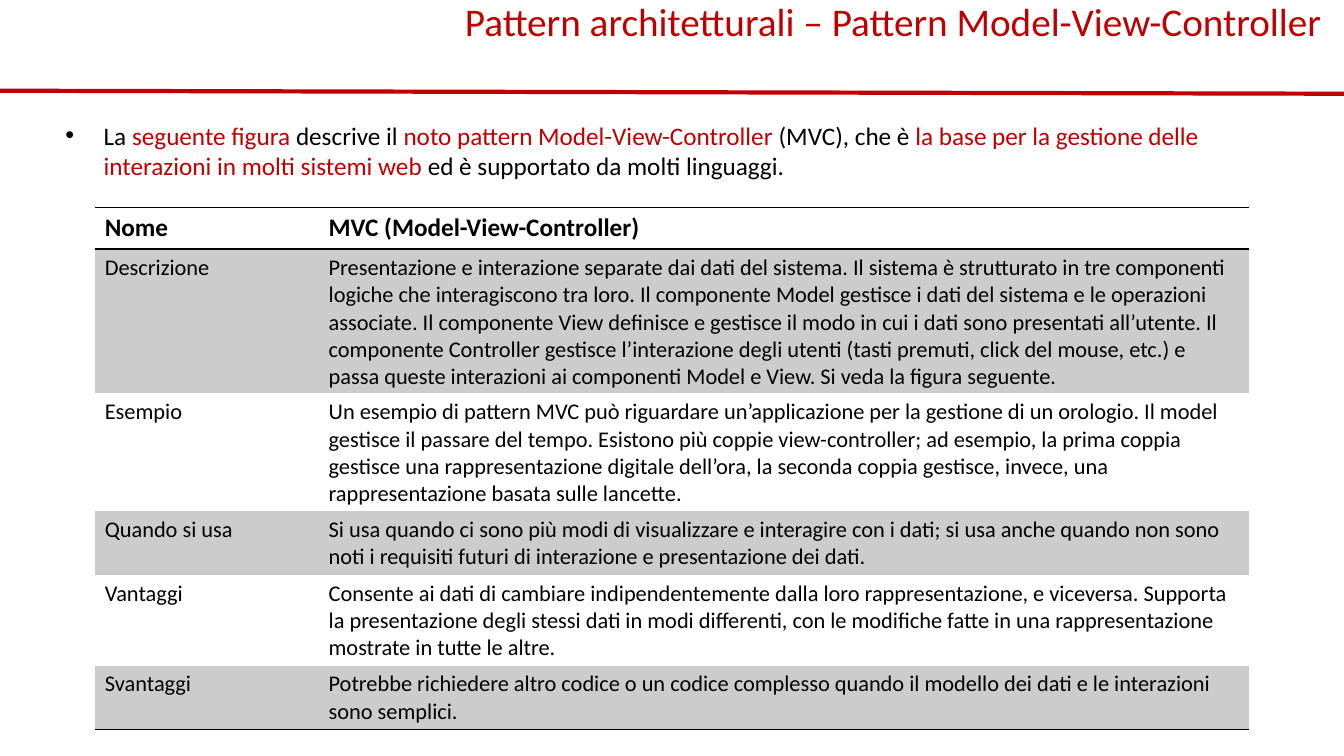
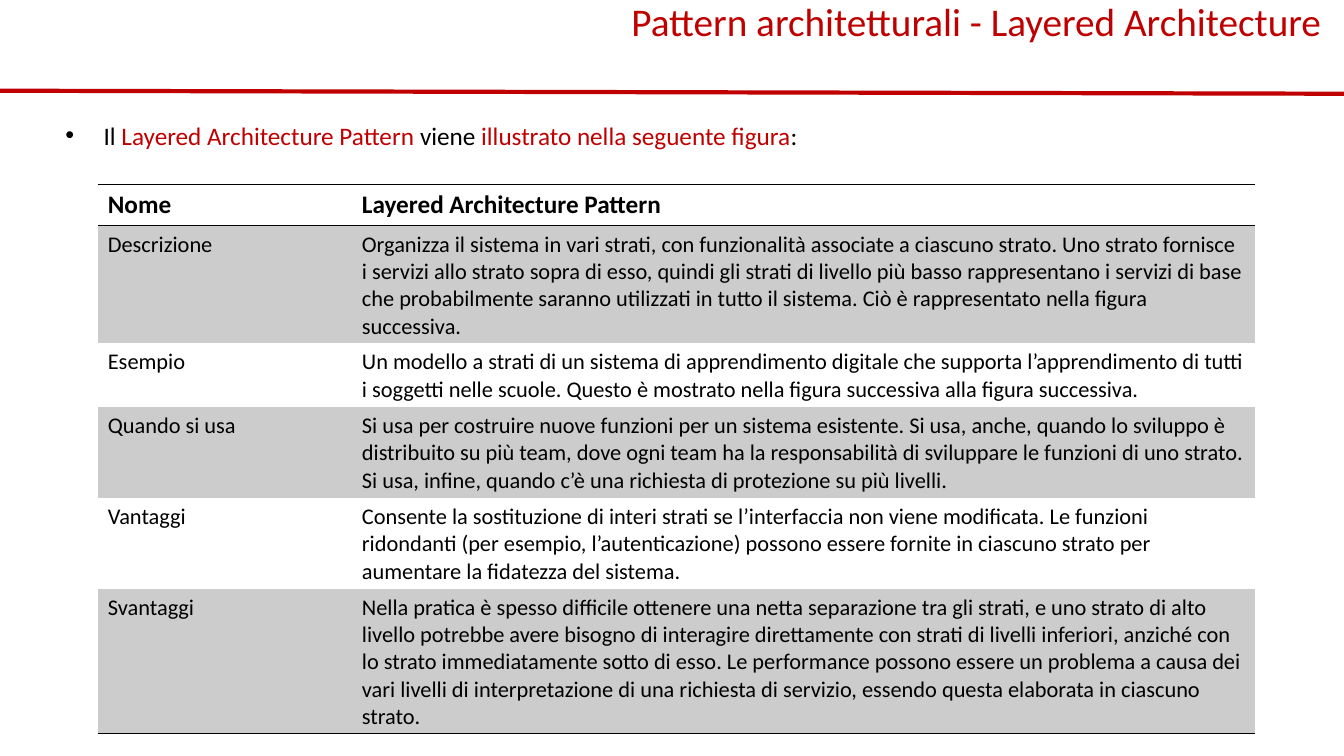
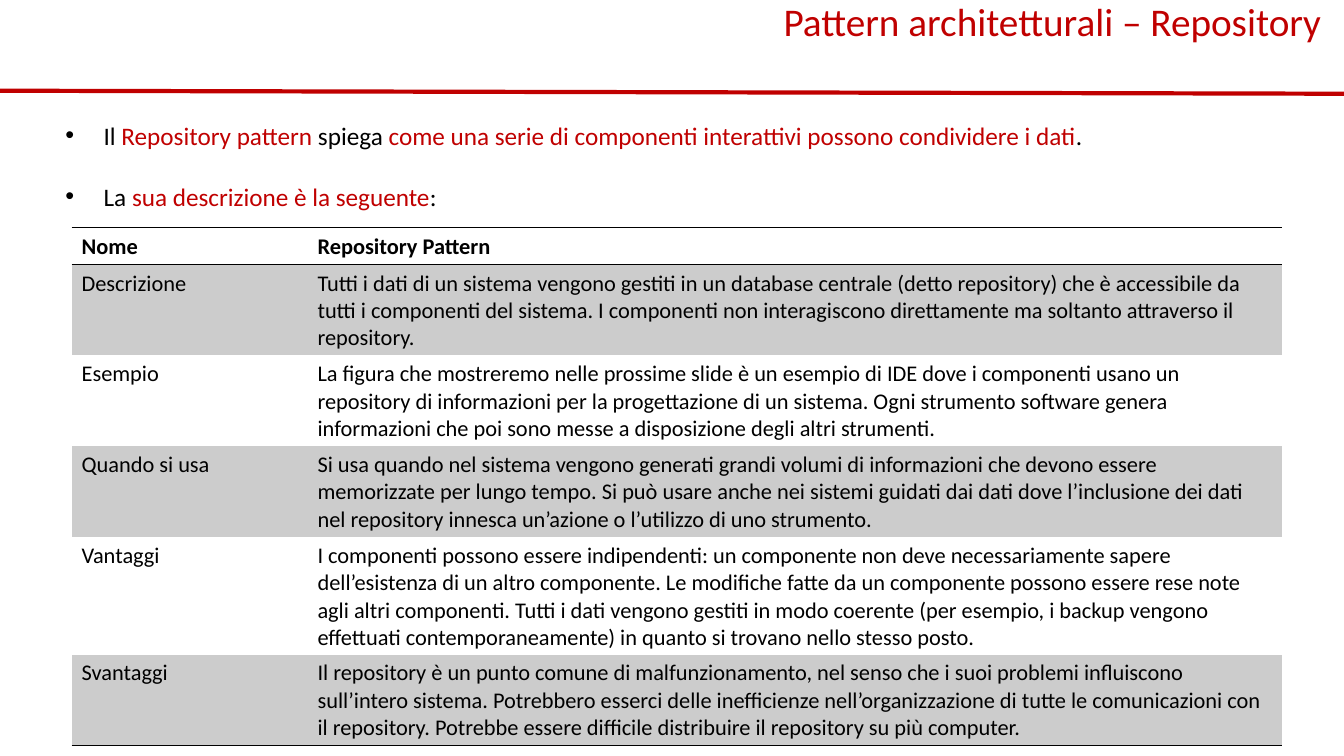
from dataclasses import dataclass

from lxml import etree
from pptx import Presentation
from pptx import util as u
from pptx.dml.color import RGBColor
from pptx.enum import shapes, text
from pptx.oxml.ns import qn
from pptx.slide import Slide
from pptx.table import _Cell as Cell

# Shared look
RED = RGBColor(0xC0, 0x00, 0x00)
BLACK = RGBColor(0x00, 0x00, 0x00)
GREY = RGBColor(0xCC, 0xCC, 0xCC)
FONT = "Calibri"
PLAIN_TABLE_STYLE = "{2D5ABB26-0587-4C30-8999-92F81FD0307C}"

PAGE_WIDTH = 13.33
TITLE_RIGHT = 13.2
BULLET_INDENT = u.Inches(0.38)
ROW_HEIGHT = 0.41
ROW_NAMES = ["Nome", "Descrizione", "Esempio", "Quando si usa", "Vantaggi", "Svantaggi"]


@dataclass
class PatternTable:
    left: float
    top: float
    height: float
    columns: tuple[float, float]
    entries: list[str]  # one for each of ROW_NAMES
    header_size: int = 18
    header_height: float = ROW_HEIGHT


@dataclass
class PatternPage:
    title: str
    title_width: float
    bullets: list[str]  # text between asterisks is red
    bullets_height: float
    table: PatternTable


PAGES = [
    PatternPage(
        "Pattern architetturali – Pattern Model-View-Controller", 8.82,
        ["La *seguente figura *descrive il *noto pattern Model-View-Controller *(MVC), che è "
         "*la base per la gestione delle interazioni in molti sistemi web* ed è supportato da "
         "molti linguaggi."],
        0.71,
        PatternTable(0.94, 2.06, 5.17, (2.22, 9.23), [
            "MVC (Model-View-Controller)",
            "Presentazione e interazione separate dai dati del sistema. Il sistema è strutturato "
            "in tre componenti logiche che interagiscono tra loro. Il componente Model gestisce i "
            "dati del sistema e le operazioni associate. Il componente View definisce e gestisce "
            "il modo in cui i dati sono presentati all’utente. Il componente Controller gestisce "
            "l’interazione degli utenti (tasti premuti, click del mouse, etc.) e passa queste "
            "interazioni ai componenti Model e View. Si veda la figura seguente.",
            "Un esempio di pattern MVC può riguardare un’applicazione per la gestione di un "
            "orologio. Il model gestisce il passare del tempo. Esistono più coppie "
            "view-controller; ad esempio, la prima coppia gestisce una rappresentazione digitale "
            "dell’ora, la seconda coppia gestisce, invece, una rappresentazione basata sulle "
            "lancette.",
            "Si usa quando ci sono più modi di visualizzare e interagire con i dati; si usa anche "
            "quando non sono noti i requisiti futuri di interazione e presentazione dei dati.",
            "Consente ai dati di cambiare indipendentemente dalla loro rappresentazione, e "
            "viceversa. Supporta la presentazione degli stessi dati in modi differenti, con le "
            "modifiche fatte in una rappresentazione mostrate in tutte le altre.",
            "Potrebbe richiedere altro codice o un codice complesso quando il modello dei dati e "
            "le interazioni sono semplici.",
        ]),
    ),
    PatternPage(
        "Pattern architetturali - Layered Architecture", 7.13,
        ["Il *Layered Architecture Pattern *viene *illustrato nella seguente figura*:"],
        0.4,
        PatternTable(0.97, 1.83, 5.44, (2.52, 8.96), [
            "Layered Architecture Pattern",
            "Organizza il sistema in vari strati, con funzionalità associate a ciascuno strato. "
            "Uno strato fornisce i servizi allo strato sopra di esso, quindi gli strati di livello "
            "più basso rappresentano i servizi di base che probabilmente saranno utilizzati in "
            "tutto il sistema. Ciò è rappresentato nella figura successiva.",
            "Un modello a strati di un sistema di apprendimento digitale che supporta "
            "l’apprendimento di tutti i soggetti nelle scuole. Questo è mostrato nella figura "
            "successiva alla figura successiva.",
            "Si usa per costruire nuove funzioni per un sistema esistente. Si usa, anche, quando "
            "lo sviluppo è distribuito su più team, dove ogni team ha la responsabilità di "
            "sviluppare le funzioni di uno strato. Si usa, infine, quando c’è una richiesta di "
            "protezione su più livelli.",
            "Consente la sostituzione di interi strati se l’interfaccia non viene modificata. Le "
            "funzioni ridondanti (per esempio, l’autenticazione) possono essere fornite in "
            "ciascuno strato per aumentare la fidatezza del sistema.",
            "Nella pratica è spesso difficile ottenere una netta separazione tra gli strati, e "
            "uno strato di alto livello potrebbe avere bisogno di interagire direttamente con "
            "strati di livelli inferiori, anziché con lo strato immediatamente sotto di esso. Le "
            "performance possono essere un problema a causa dei vari livelli di interpretazione "
            "di una richiesta di servizio, essendo questa elaborata in ciascuno strato.",
        ]),
    ),
    PatternPage(
        "Pattern architetturali – Repository", 5.61,
        ["Il *Repository pattern *spiega *come una serie di componenti interattivi possono "
         "condividere i dati*.",
         "La *sua descrizione è la seguente*:"],
        1.01,
        PatternTable(0.71, 2.26, 5.13, (2.34, 9.67), [
            "Repository Pattern",
            "Tutti i dati di un sistema vengono gestiti in un database centrale (detto "
            "repository) che è accessibile da tutti i componenti del sistema. I componenti non "
            "interagiscono direttamente ma soltanto attraverso il repository.",
            "La figura che mostreremo nelle prossime slide è un esempio di IDE dove i componenti "
            "usano un repository di informazioni per la progettazione di un sistema. Ogni "
            "strumento software genera informazioni che poi sono messe a disposizione degli altri "
            "strumenti.",
            "Si usa quando nel sistema vengono generati grandi volumi di informazioni che devono "
            "essere memorizzate per lungo tempo. Si può usare anche nei sistemi guidati dai dati "
            "dove l’inclusione dei dati nel repository innesca un’azione o l’utilizzo di uno "
            "strumento.",
            "I componenti possono essere indipendenti: un componente non deve necessariamente "
            "sapere dell’esistenza di un altro componente. Le modifiche fatte da un componente "
            "possono essere rese note agli altri componenti. Tutti i dati vengono gestiti in modo "
            "coerente (per esempio, i backup vengono effettuati contemporaneamente) in quanto si "
            "trovano nello stesso posto.",
            "Il repository è un punto comune di malfunzionamento, nel senso che i suoi problemi "
            "influiscono sull’intero sistema. Potrebbero esserci delle inefficienze "
            "nell’organizzazione di tutte le comunicazioni con il repository. Potrebbe essere "
            "difficile distribuire il repository su più computer.",
        ], header_size=16, header_height=0.23),
    ),
]


# Text helpers
def add_span(para, words: str, size: int, color: RGBColor = BLACK, bold: bool = False) -> None:
    span = para.add_run()
    span.text = words
    values = {"name": FONT, "size": u.Pt(size), "bold": bold}
    for name, value in values.items():
        setattr(span.font, name, value)
    span.font.color.rgb = color


def add_text_frame(page: Slide, left: float, top: float, width: float, height: float, wrap: bool):
    box = page.shapes.add_textbox(*map(u.Inches, (left, top, width, height)))
    values = {"word_wrap": wrap, "auto_size": text.MSO_AUTO_SIZE.SHAPE_TO_FIT_TEXT}
    for name, value in values.items():
        setattr(box.text_frame, name, value)
    return box.text_frame


def set_bullet(para) -> None:
    properties = para._p.get_or_add_pPr()
    properties.set("marL", str(BULLET_INDENT))
    properties.set("indent", str(-BULLET_INDENT))
    etree.SubElement(properties, qn("a:buFont"), typeface="Arial")
    etree.SubElement(properties, qn("a:buChar"), char="•")


# Parts of a page
def draw_bullets(page: Slide, bullets: list[str], height: float) -> None:
    frame = add_text_frame(page, 0.55, 1.14, 12.33, height, wrap=True)
    for index, bullet in enumerate(bullets):
        para = frame.add_paragraph() if index else frame.paragraphs[0]
        if index:
            para.space_before = u.Pt(22)
        set_bullet(para)
        for part, words in enumerate(bullet.split("*")):
            add_span(para, words, 18, RED if part % 2 else BLACK)


def draw_rule(page: Slide) -> None:
    ends = map(u.Inches, (0, 0.9, PAGE_WIDTH, 0.93))
    rule = page.shapes.add_connector(shapes.MSO_CONNECTOR.STRAIGHT, *ends)
    rule.line.color.rgb = RED
    rule.line.width = u.Pt(3)
    etree.SubElement(rule.element.spPr, qn("a:effectLst"))


def draw_title(page: Slide, title: str, width: float) -> None:
    frame = add_text_frame(page, TITLE_RIGHT - width, -0.08, width, 0.57, wrap=False)
    para = frame.paragraphs[0]
    para.alignment = text.PP_ALIGN.RIGHT
    add_span(para, title, 28, RED)


def add_border(cell: Cell, side: str) -> None:
    properties = cell._tc.get_or_add_tcPr()
    line = etree.SubElement(properties, qn(f"a:{side}"), w=str(u.Pt(1)))
    fill = etree.SubElement(line, qn("a:solidFill"))
    etree.SubElement(fill, qn("a:srgbClr"), val=str(BLACK))


def draw_table(page: Slide, data: PatternTable) -> None:
    area = (data.left, data.top, sum(data.columns), data.height)
    holder = page.shapes.add_table(len(ROW_NAMES), 2, *map(u.Inches, area))
    holder.element.xpath(".//a:tableStyleId")[0].text = PLAIN_TABLE_STYLE
    table = holder.table
    table.horz_banding = False
    for column, width in zip(table.columns, data.columns):
        column.width = u.Inches(width)

    last = len(ROW_NAMES) - 1
    for index, texts in enumerate(zip(ROW_NAMES, data.entries)):
        header = index == 0
        row = table.rows[index]
        row.height = u.Inches(data.header_height if header else ROW_HEIGHT)
        for cell, words in zip(row.cells, texts):
            size = data.header_size if header else 16
            add_span(cell.text_frame.paragraphs[0], words, size, bold=header)
            if header:
                add_border(cell, "lnT")
            if index in (0, last):
                add_border(cell, "lnB")
            if index % 2:
                cell.fill.solid()
                cell.fill.fore_color.rgb = GREY
            else:
                cell.fill.background()
    # Rows grow with their text to fill this height
    holder.height = u.Inches(data.height)


def main() -> None:
    deck = Presentation()
    deck.slide_width = u.Inches(PAGE_WIDTH)
    deck.slide_height = u.Inches(7.5)
    for content in PAGES:
        page = deck.slides.add_slide(deck.slide_layouts[6])
        draw_bullets(page, content.bullets, content.bullets_height)
        draw_rule(page)
        draw_title(page, content.title, content.title_width)
        draw_table(page, content.table)
    deck.save("out.pptx")


if __name__ == "__main__":
    main()
